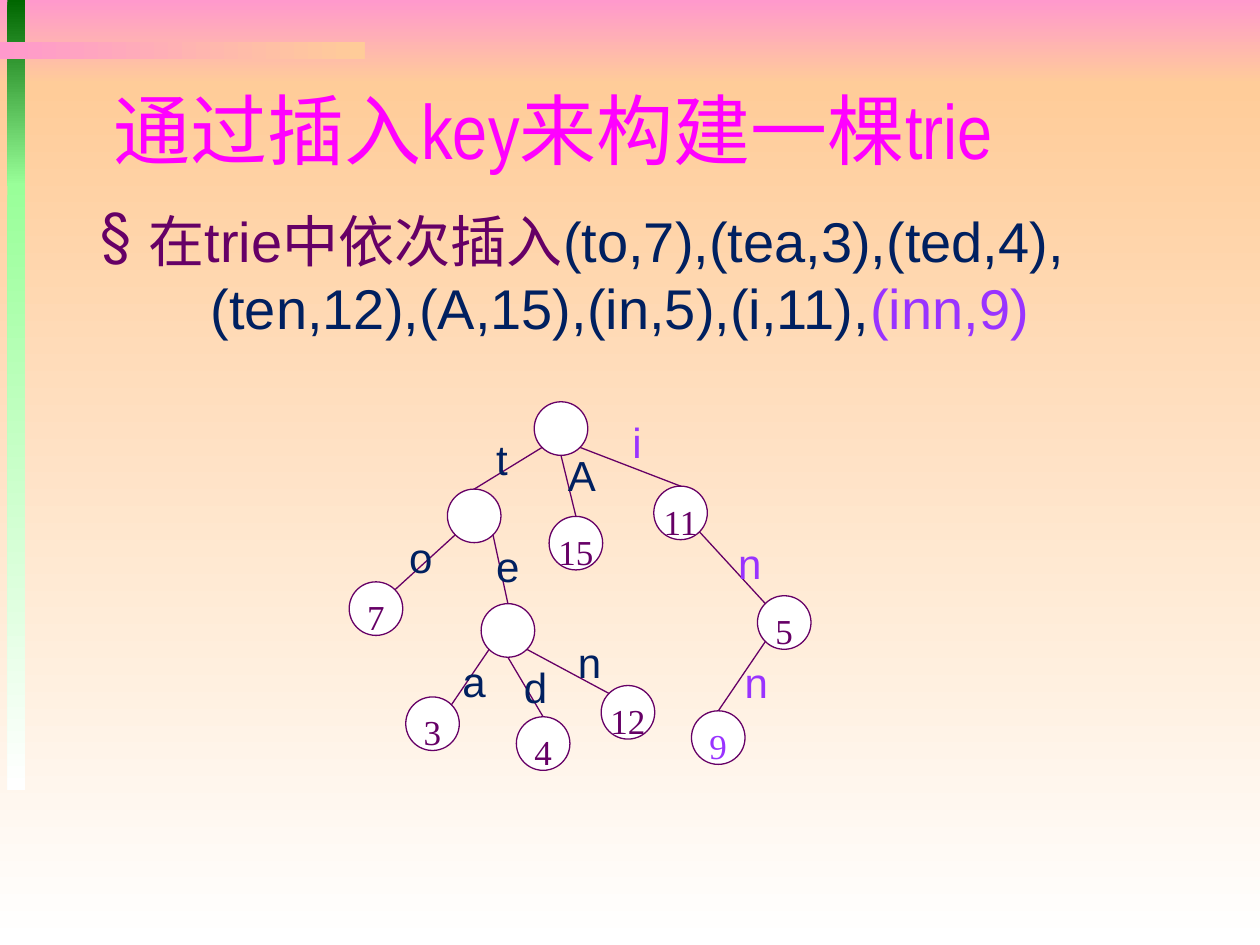
from lxml.etree import SubElement
from pptx import Presentation
from pptx.dml.color import RGBColor
from pptx.enum.shapes import MSO_CONNECTOR, MSO_SHAPE
from pptx.enum.text import MSO_ANCHOR, PP_ALIGN
from pptx.oxml.ns import qn
from pptx.util import Cm, Pt

PINK = RGBColor(0xFF, 0x99, 0xCC)
PEACH = RGBColor(0xFF, 0xCC, 0x99)
WHITE = RGBColor(0xFF, 0xFF, 0xFF)
FOREST = RGBColor(0x00, 0x66, 0x00)
MINT = RGBColor(0x99, 0xFF, 0x99)
MAGENTA = RGBColor(0xFF, 0x00, 0xFF)
PLUM = RGBColor(0x66, 0x00, 0x66)
NAVY = RGBColor(0x00, 0x20, 0x60)
VIOLET = RGBColor(0x99, 0x33, 0xFF)

DOWN, ACROSS = 270, 0
BANDS = [
    (0, 0, 25.4, 1.7, PINK, PEACH, DOWN),
    (0, 1.7, 25.4, 17.35, PEACH, WHITE, DOWN),
    (0.15, 0, 0.36, 3.75, FOREST, MINT, DOWN),
    (0.15, 3.7, 0.36, 12.23, MINT, WHITE, DOWN),
    (0, 0.84, 7.35, 0.35, PINK, PEACH, ACROSS),
]

DIAMETER = 1.08
NODES = {
    "root": (10.77, 8.1, "", PLUM),
    "t": (9.02, 9.86, "", PLUM),
    "A": (11.07, 10.41, "15", PLUM),
    "i": (13.18, 9.8, "11", PLUM),
    "to": (7.04, 11.73, "7", PLUM),
    "te": (9.7, 12.17, "", PLUM),
    "tea": (8.18, 14.05, "3", PLUM),
    "ted": (10.41, 14.45, "4", PLUM),
    "ten": (12.12, 13.82, "12", PLUM),
    "inn": (13.94, 14.33, "9", VIOLET),
    "in": (15.27, 12.01, "5", PLUM),
}
RIM = {
    "top": (0.5, 0),
    "bottom": (0.5, 1),
    "upper left": (0.15, 0.15),
    "upper right": (0.85, 0.15),
    "lower left": (0.15, 0.85),
    "lower right": (0.85, 0.85),
}
EDGES = [
    ("t", "top", "root", "lower left"),
    ("A", "top", "root", "bottom"),
    ("i", "top", "root", "lower right"),
    ("to", "upper right", "t", "lower left"),
    ("te", "top", "t", "lower right"),
    ("ted", "top", "te", "bottom"),
    ("ten", "upper left", "te", "lower right"),
    ("tea", "upper right", "te", "lower left"),
    ("in", "upper left", "i", "lower right"),
    ("inn", "top", "in", "lower left"),
]
LETTERS = [
    ("t", 9.75, 8.61, NAVY),
    ("o", 8, 10.59, NAVY),
    ("e", 9.75, 10.77, NAVY),
    ("a", 9.07, 13.08, NAVY),
    ("d", 10.31, 13.21, NAVY),
    ("n", 11.4, 12.7, NAVY),
    ("A", 11.2, 8.94, NAVY),
    ("i", 12.5, 8.28, VIOLET),
    ("n", 14.63, 10.72, VIOLET),
    ("n", 14.76, 13.11, VIOLET),
]


def apply(target, values):
    for name, value in values.items():
        setattr(target, name, value)


def add_run(paragraph, text, font, size, color):
    run = paragraph.add_run()
    run.text = text
    apply(run.font, {"name": font, "size": Pt(size)})
    run.font.color.rgb = color


def add_text_frame(slide, left, top, width, height, anchor=MSO_ANCHOR.TOP):
    box = slide.shapes.add_textbox(Cm(left), Cm(top), Cm(width), Cm(height))
    apply(box.text_frame, {"word_wrap": True, "vertical_anchor": anchor})
    return box.text_frame


def add_band(slide, left, top, width, height, first, last, angle):
    band = slide.shapes.add_shape(
        MSO_SHAPE.RECTANGLE, Cm(left), Cm(top), Cm(width), Cm(height))
    band.shadow.inherit = False
    band.line.fill.background()
    band.fill.gradient()
    band.fill.gradient_angle = angle
    for stop, color in zip(band.fill.gradient_stops, (first, last)):
        stop.color.rgb = color


def add_title(slide):
    frame = add_text_frame(slide, 2.03, 1.45, 21.59, 2.29, MSO_ANCHOR.MIDDLE)
    add_run(frame.paragraphs[0], "通过插入key来构建一棵trie", "Arial Narrow", 44, MAGENTA)


def add_insertions(slide):
    frame = add_text_frame(slide, 1.78, 4.04, 22.3, 3.4)
    opening = frame.paragraphs[0]
    properties = opening._p.get_or_add_pPr()
    apply_indent(properties, 0.97, -0.97)
    SubElement(properties, qn("a:buChar"), char="§")
    add_run(opening, "在trie中依次插入", "Arial", 32, PLUM)
    add_run(opening, "(to,7),(tea,3),(ted,4),", "Arial", 32, NAVY)
    continuation = frame.add_paragraph()
    apply_indent(continuation._p.get_or_add_pPr(), 2.22, 0)
    add_run(continuation, "(ten,12),(A,15),(in,5),(i,11),", "Arial", 32, NAVY)
    add_run(continuation, "(inn,9)", "Arial", 32, VIOLET)


def apply_indent(properties, margin, indent):
    properties.set("marL", str(Cm(margin)))
    properties.set("indent", str(Cm(indent)))


def add_node(slide, left, top, value, color):
    node = slide.shapes.add_shape(
        MSO_SHAPE.OVAL, Cm(left), Cm(top), Cm(DIAMETER), Cm(DIAMETER))
    node.shadow.inherit = False
    node.fill.solid()
    node.fill.fore_color.rgb = WHITE
    node.line.color.rgb = PLUM
    node.line.width = Pt(0.75)
    if value:
        apply(node.text_frame, {
            "margin_left": 0, "margin_right": 0,
            "vertical_anchor": MSO_ANCHOR.TOP, "word_wrap": True})
        paragraph = node.text_frame.paragraphs[0]
        paragraph.alignment = PP_ALIGN.CENTER
        add_run(paragraph, value, "Times New Roman", 20, color)


def rim_point(key, side):
    left, top = NODES[key][:2]
    across, down = RIM[side]
    return Cm(left + across * DIAMETER), Cm(top + down * DIAMETER)


def add_edge(slide, child, child_side, parent, parent_side):
    edge = slide.shapes.add_connector(
        MSO_CONNECTOR.STRAIGHT,
        *rim_point(child, child_side), *rim_point(parent, parent_side))
    edge.line.color.rgb = PLUM
    edge.line.width = Pt(0.75)
    SubElement(edge._element.spPr, qn("a:effectLst"))


def add_letter(slide, letter, left, top, color):
    frame = add_text_frame(slide, left, top, 0.94, 1.27)
    add_run(frame.paragraphs[0], letter, "Arial", 24, color)


def main():
    deck = Presentation()
    apply(deck, {"slide_width": Cm(25.4), "slide_height": Cm(19.05)})
    slide = deck.slides.add_slide(deck.slide_layouts[6])
    for band in BANDS:
        add_band(slide, *band)
    add_title(slide)
    add_insertions(slide)
    for node in NODES.values():
        add_node(slide, *node)
    for edge in EDGES:
        add_edge(slide, *edge)
    for letter in LETTERS:
        add_letter(slide, *letter)
    deck.save("out.pptx")


if __name__ == "__main__":
    main()
